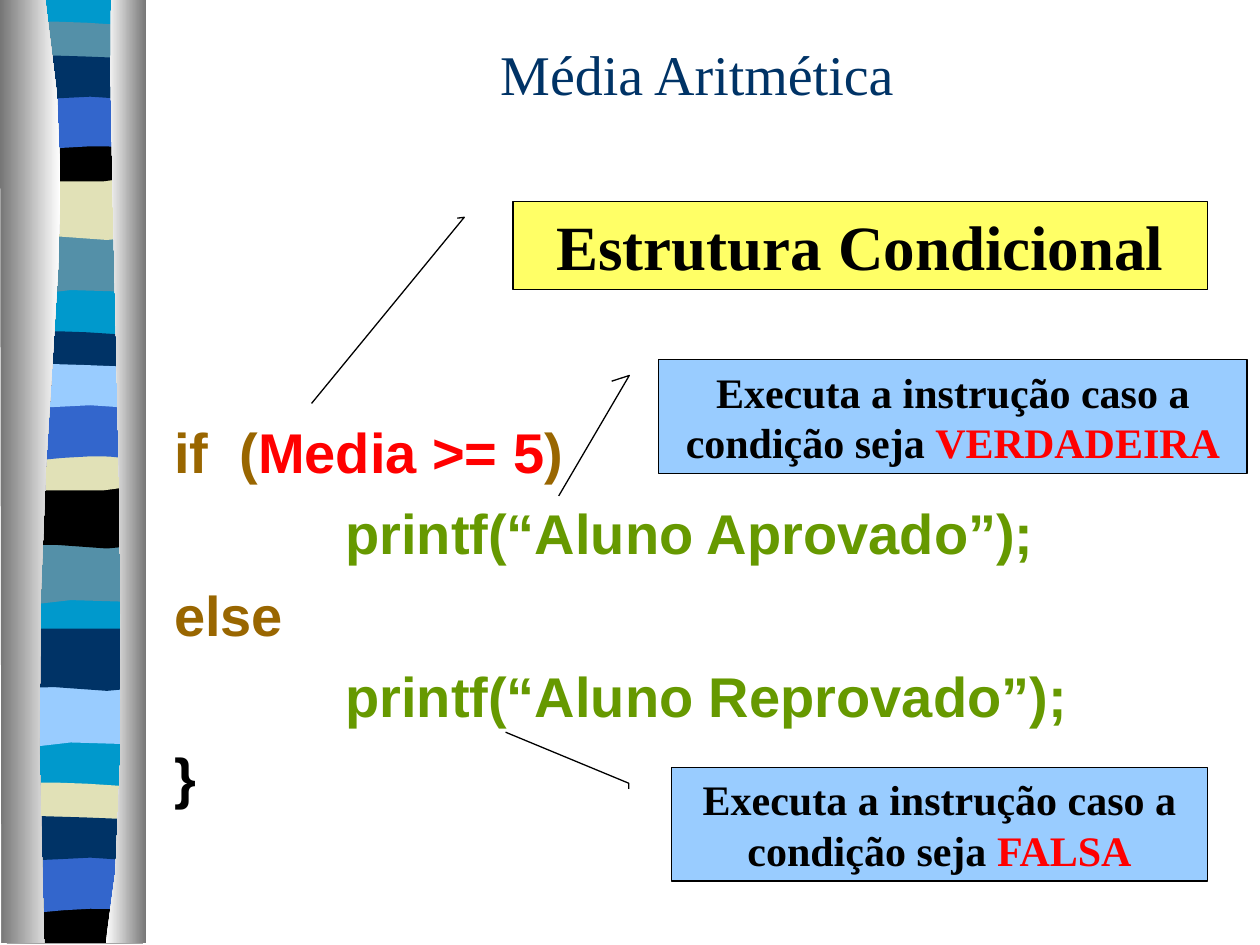
from typing import NamedTuple

from pptx import Presentation
from pptx.dml.color import RGBColor
from pptx.enum.shapes import MSO_SHAPE
from pptx.enum.text import MSO_ANCHOR, MSO_AUTO_SIZE, PP_ALIGN
from pptx.util import Cm, Pt

CALLOUT = MSO_SHAPE.LINE_CALLOUT_2
TOP, MIDDLE = MSO_ANCHOR.TOP, MSO_ANCHOR.MIDDLE
LEFT, CENTER = PP_ALIGN.LEFT, PP_ALIGN.CENTER
GROW, FIXED = MSO_AUTO_SIZE.SHAPE_TO_FIT_TEXT, MSO_AUTO_SIZE.NONE

SERIF, SANS = "Times New Roman", "Arial"
COLORS = {
    "black": "000000", "white": "FFFFFF", "gray": "767676", "navy": "003366",
    "blue": "3366CC", "sky": "99CCFF", "cyan": "0099CC", "teal": "5490A8",
    "sand": "E1E1B7", "yellow": "FFFF66", "red": "FF0000",
    "brown": "996600", "green": "669900",
}
W = 2.74    # width of the striped column
BAND_X = 0.14

# Outlines in cm: two numbers are a corner, six are a Bezier curve
OUTLINES = {
    "base": [(W, 0), (W, 19), (0, 19), (0, 0)],
    "sway": [(W, 0), (W, 1.19), (0.84, 0.99, 0.46, 1.4, 0, 1.19), (0, 0)],
    "swell": [(W, 0), (W, 1.19), (2.29, 1.4, 0.84, 1.07, 0, 1.19), (0, 0)],
    "thin": [(W, 0.13), (W, 0.74), (2.29, 0.84, 0.46, 0.84, 0, 0.74),
             (0, 0.13), (0.15, 0, 0.58, 0.03, 1.04, 0.03),
             (1.5, 0.03, 2.39, 0.1, W, 0.13)],
    "bowl": [(W, 0), (W, 0.81), (2.29, 0.97, 0.46, 0.97, 0, 0.81),
             (0, 0), (1.68, 0.13, 2.16, 0, W, 0)],
    "foot": [(W, 0), (W, 0.94), (0, 0.94), (0, 0),
             (1.68, 0.13, 2.16, 0, W, 0)],
    "arch": [(W, 0), (W, 1.19), (2.31, 1.07, 2.13, 1.07, 1.68, 1.07),
             (1.22, 1.07, 0.41, 1.19, 0, 1.19), (0, 0)],
    "ripple": [(W, 0.13), (W, 0.91), (2.57, 1.04, 2.13, 0.91, 1.68, 0.91),
               (1.22, 0.91, 0.28, 1.04, 0, 0.91), (0, 0.13),
               (0.38, 0, 1.85, 0.13, 2.31, 0.13), (W, 0.13)],
    "left": [(0.91, 0), (1.8, 5.51, 0.43, 7.54, 0.89, 19.05),
             (0.03, 19.05), (0, 0)],
    "right": [(2.24, 0), (2.13, 3.2, 2.82, 16.43, 2.13, 19.05),
              (2.95, 19.05), (2.95, 0)],
}


class Band(NamedTuple):
    form: str
    top: float
    color: str


class Note(NamedTuple):
    box: tuple
    fill: str
    leader: tuple
    runs: list
    size: int


BANDS = [
    Band("base", 0, "cyan"),
    # upper group
    Band("sway", 4.7, "teal"), Band("swell", 3.58, "sand"),
    Band("thin", 0.41, "teal"), Band("bowl", 2.74, "black"),
    Band("arch", 1.88, "blue"), Band("ripple", 1.04, "navy"),
    # middle group
    Band("sway", 10.95, "teal"), Band("swell", 9.8, "black"),
    Band("thin", 6.65, "navy"), Band("bowl", 8.97, "sand"),
    Band("arch", 8.13, "blue"), Band("ripple", 7.26, "sky"),
    # lower group
    Band("sway", 13.82, "sky"), Band("swell", 12.67, "navy"),
    Band("thin", 15.75, "sand"), Band("foot", 18.08, "black"),
    Band("arch", 17.25, "blue"), Band("ripple", 16.38, "navy"),
]

LEAD = "Executa a instrução caso a condição seja "
NOTES = [
    Note((10.34, 4.06, 14, 1.78), "yellow",
         (0.19, -0.08, 0.18, -0.07, 2.29, -0.29),
         [("Estrutura Condicional", "black")], 36),
    Note((13.28, 7.25, 11.86, 2.29), "sky",
         (0.19, -0.08, 0.14, -0.05, 1.2, -0.17),
         [(LEAD, "black"), ("VERDADEIRA", "red")], 24),
    Note((13.54, 15.47, 10.8, 2.29), "sky",
         (0.19, -0.08, 0.14, -0.08, -0.31, -0.31),
         [(LEAD, "black"), ("FALSA", "red")], 24),
]

CODE = [
    [("if  (", "brown"), ("Media >= 5", "red"), (")", "brown")],
    [("           ", "black"), ("printf(“Aluno Aprovado”);", "green")],
    [("else", "brown")],
    [("           ", "black"), ("printf(“Aluno Reprovado”);", "green")],
    [("}", "black")],
]


def rgb(name: str) -> RGBColor:
    return RGBColor.from_string(COLORS[name])


def trace(parts: list, steps: int) -> list:
    """Turn corners and curves into a list of points."""
    dots = [parts[0]]
    for part in parts[1:]:
        if len(part) == 2:
            dots.append(part)
            continue
        ends = [dots[-1], part[:2], part[2:4], part[4:]]
        for step in range(1, steps + 1):
            t = step / steps
            u = 1 - t
            mix = (u ** 3, 3 * u * u * t, 3 * u * t * t, t ** 3)
            dots.append(tuple(sum(m * e[axis] for m, e in zip(mix, ends))
                              for axis in (0, 1)))
    return dots


def draw(slide, form: str, left: float, top: float, steps: int = 3):
    """Add a closed outline without a line."""
    dots = [(Cm(left + x), Cm(top + y)) for x, y in trace(OUTLINES[form], steps)]
    maker = slide.shapes.build_freeform(*dots[0])
    maker.add_line_segments(dots[1:], close=True)
    shape = maker.convert_to_shape()
    shape.shadow.inherit = False
    shape.line.fill.background()
    return shape


def shade(shape, first: str, last: str) -> None:
    shape.fill.gradient()
    shape.fill.gradient_angle = 0
    for stop, place, name in zip(shape.fill.gradient_stops, (0, 1), (first, last)):
        stop.position = place
        stop.color.rgb = rgb(name)


def write(shape, lines: list, size: int, font: str = SERIF, bold: bool = False,
          align=CENTER, anchor=TOP, gap: float = 0, inset: float = 0.13,
          fit=FIXED) -> None:
    """Fill a shape with lines, each a list of (text, colour) runs."""
    frame = shape.text_frame
    frame.word_wrap = True
    frame.auto_size = fit
    frame.vertical_anchor = anchor
    frame.margin_top = Cm(inset)
    for row, runs in enumerate(lines):
        para = frame.add_paragraph() if row else frame.paragraphs[0]
        para.alignment = align
        para.space_before = Pt(gap if row else 0)
        for text, color in runs:
            run = para.add_run()
            run.text = text
            run.font.name, run.font.size = font, Pt(size)
            run.font.bold = bold
            run.font.color.rgb = rgb(color)


def annotate(slide, note: Note) -> None:
    shape = slide.shapes.add_shape(CALLOUT, *map(Cm, note.box))
    shape.shadow.inherit = False
    for place, value in enumerate(note.leader):
        shape.adjustments[place] = value
    shape.fill.solid()
    shape.fill.fore_color.rgb = rgb(note.fill)
    shape.line.color.rgb = rgb("black")
    shape.line.width = Pt(0.75)
    write(shape, [note.runs], note.size, bold=True, fit=GROW)


def main() -> None:
    deck = Presentation()
    deck.slide_width, deck.slide_height = Cm(25.4), Cm(19.05)
    slide = deck.slides.add_slide(deck.slide_layouts[6])

    # Striped column between two silver edges
    for band in BANDS:
        shape = draw(slide, band.form, BAND_X, band.top)
        shape.fill.solid()
        shape.fill.fore_color.rgb = rgb(band.color)
    shade(draw(slide, "left", 0, -0.03, steps=8), "gray", "white")
    shade(draw(slide, "right", 0, -0.03, steps=8), "white", "gray")

    # Title
    title = slide.shapes.add_textbox(Cm(3.26), Cm(0.62), Cm(21.59), Cm(1.7))
    write(title, [[("Média Aritmética", "navy")]], 32, anchor=MIDDLE)

    # Code listing
    code = slide.shapes.add_textbox(Cm(3.26), Cm(3.38), Cm(21.59), Cm(14.81))
    write(code, CODE, 32, font=SANS, bold=True, align=LEFT, gap=8, inset=5.04)

    # Callouts
    for note in NOTES:
        annotate(slide, note)

    deck.save("out.pptx")


if __name__ == "__main__":
    main()
